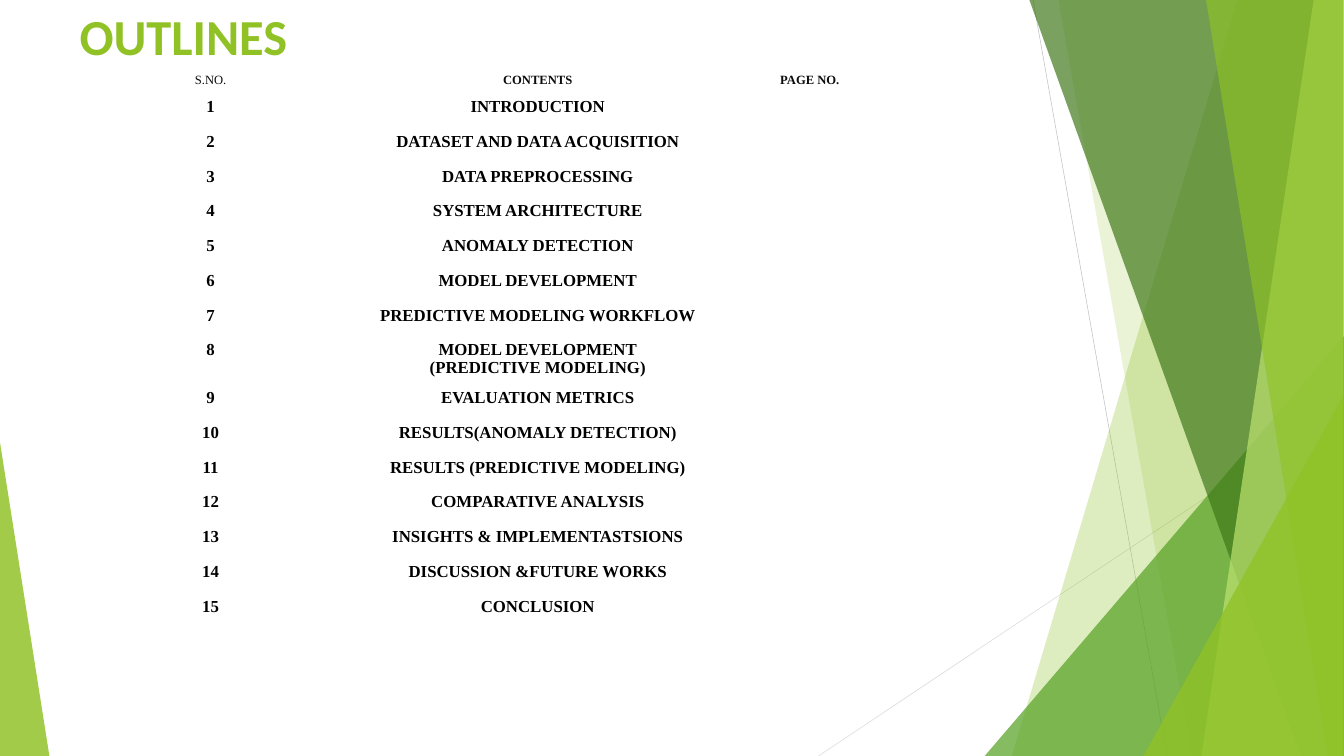
import pptx
import pptx.dml.color
import pptx.enum.shapes
import pptx.enum.text
import pptx.oxml
import pptx.oxml.ns
import pptx.util

Inches = pptx.util.Inches
SHAPE = pptx.enum.shapes.MSO_SHAPE
ALIGN = pptx.enum.text.PP_ALIGN

COLOURS = {
    "lime": "90C226", "green": "54A021", "forest": "3F7818", "pale": "BFE472",
    "grey": "BFBFBF", "silver": "D8D8D8", "ink": "0C0C0C", "black": "000000",
}
TOP, BOTTOM, RIGHT = -0.02, 15, 26.66
SERIF = "Times New Roman"
HEADINGS = ["S.NO.", "CONTENTS", "PAGE NO."]
CONTENTS = [
    "INTRODUCTION",
    "DATASET AND DATA ACQUISITION",
    "DATA PREPROCESSING",
    "SYSTEM ARCHITECTURE",
    "ANOMALY DETECTION",
    "MODEL DEVELOPMENT",
    "PREDICTIVE MODELING WORKFLOW",
    "MODEL DEVELOPMENT\n(PREDICTIVE MODELING)",
    "EVALUATION METRICS",
    "RESULTS(ANOMALY DETECTION)",
    "RESULTS (PREDICTIVE MODELING)",
    "COMPARATIVE ANALYSIS",
    "INSIGHTS & IMPLEMENTASTSIONS",
    "DISCUSSION &FUTURE WORKS",
    "CONCLUSION",
]


def rgb(name):
    """Return the named colour."""
    return pptx.dml.color.RGBColor.from_string(COLOURS[name])


def write_text(frame, text, font=SERIF, size=24, colour="black", bold=True,
               align=ALIGN.CENTER, spacing=None):
    """Write each line of text as a formatted paragraph."""
    for index, line in enumerate(text.split("\n")):
        para = frame.add_paragraph() if index else frame.paragraphs[0]
        para.alignment = align
        para.line_spacing = spacing
        span = para.add_run()
        span.text = line
        span.font.name = font
        span.font.size = pptx.util.Pt(size)
        span.font.bold = bold
        span.font.color.rgb = rgb(colour)


def set_margins(target, side, edge):
    """Set the horizontal and vertical text margins."""
    target.margin_left = target.margin_right = Inches(side)
    target.margin_top = target.margin_bottom = Inches(edge)


def paint(shape, colour, opacity):
    """Give a shape a translucent fill without outline or shadow."""
    shape.shadow.inherit = False
    shape.line.fill.background()
    shape.fill.solid()
    shape.fill.fore_color.rgb = rgb(colour)
    fill = shape.fill._xPr.find(pptx.oxml.ns.qn("a:solidFill"))
    alpha = pptx.oxml.parse_xml(
        f'<a:alpha {pptx.oxml.ns.nsdecls("a")} val="{opacity * 1000}"/>')
    fill[0].append(alpha)


def add_band(page, top_left, top_right, bottom_left, colour, opacity):
    """Add a full-height band that reaches the right edge."""
    points = [(top_right, TOP), (RIGHT, BOTTOM), (bottom_left, BOTTOM)]
    builder = page.shapes.build_freeform(Inches(top_left), Inches(TOP))
    builder.add_line_segments([(Inches(x), Inches(y)) for x, y in points])
    paint(builder.convert_to_shape(), colour, opacity)


def add_corner(page, left, top, width, apex, colour, opacity):
    """Add a right-angled triangle that stands on the bottom edge."""
    shape = page.shapes.add_shape(
        SHAPE.ISOSCELES_TRIANGLE, Inches(left), Inches(top),
        Inches(width), Inches(BOTTOM - top))
    shape.adjustments[0] = apex
    paint(shape, colour, opacity)


def add_hairline(page, start, end, colour):
    """Add a thin straight line."""
    line = page.shapes.add_connector(
        pptx.enum.shapes.MSO_CONNECTOR.STRAIGHT,
        *(Inches(value) for value in start + end))
    line.line.color.rgb = rgb(colour)
    line.line.width = pptx.util.Pt(0.75)
    line._element.spPr.append(pptx.oxml.parse_xml(
        f'<a:effectLst {pptx.oxml.ns.nsdecls("a")}/>'))


def add_decoration(page):
    """Add the lines and green facets at the sides."""
    add_hairline(page, (20.5, 0), (23.16, BOTTOM), "grey")
    add_hairline(page, (RIGHT, 8.05), (16.24, BOTTOM), "silver")
    add_band(page, 24.56, RIGHT, 20.08, "lime", 29)
    add_band(page, 21, RIGHT, 23.65, "lime", 19)
    add_corner(page, 19.54, 6.67, 7.13, 1, "green", 71)
    add_band(page, 20.42, RIGHT, 25.82, "forest", 69)
    add_band(page, 26.07, RIGHT, 23.84, "pale", 69)
    add_band(page, 23.93, RIGHT, 26.35, "lime", 64)
    add_corner(page, 22.69, 7.85, 3.97, 1, "lime", 79)
    add_corner(page, 0, 8.78, 0.98, 0, "lime", 84)


def add_title(page, text):
    """Add the slide title."""
    box = page.shapes.add_textbox(
        Inches(1.48), Inches(0), Inches(7.8), Inches(1.82))
    box.text_frame.word_wrap = True
    set_margins(box.text_frame, 0.1, 0.1)
    write_text(box.text_frame, text, font="Calibri", size=72, colour="lime",
               align=ALIGN.LEFT)


def add_contents(page):
    """Add the table of numbered contents."""
    heights = [0.5] + [0.93 if "\n" in item else 0.69 for item in CONTENTS]
    widths = [5.4, 7.58, 3.22]
    table = page.shapes.add_table(
        len(heights), len(widths), Inches(1.48), Inches(1.36),
        Inches(sum(widths)), Inches(sum(heights))).table
    table.first_row = table.horz_banding = False
    for column, width in zip(table.columns, widths):
        column.width = Inches(width)
    for row, height in zip(table.rows, heights):
        row.height = Inches(height)
    for cell in table.iter_cells():
        cell.fill.background()
        set_margins(cell, 0.2, 0.1)
    for index, text in enumerate(HEADINGS):
        write_text(table.cell(0, index).text_frame, text, size=18,
                   colour="ink", bold=index > 0)
    for number, text in enumerate(CONTENTS, 1):
        for column, value in enumerate([str(number), text]):
            write_text(table.cell(number, column).text_frame, value,
                       spacing=0.93)


def main():
    """Build and save the outline slide."""
    deck = pptx.Presentation()
    deck.slide_width, deck.slide_height = Inches(26.67), Inches(15)
    page = deck.slides.add_slide(deck.slide_layouts[6])
    add_decoration(page)
    add_title(page, "OUTLINES")
    add_contents(page)
    deck.save("out.pptx")


if __name__ == "__main__":
    main()
